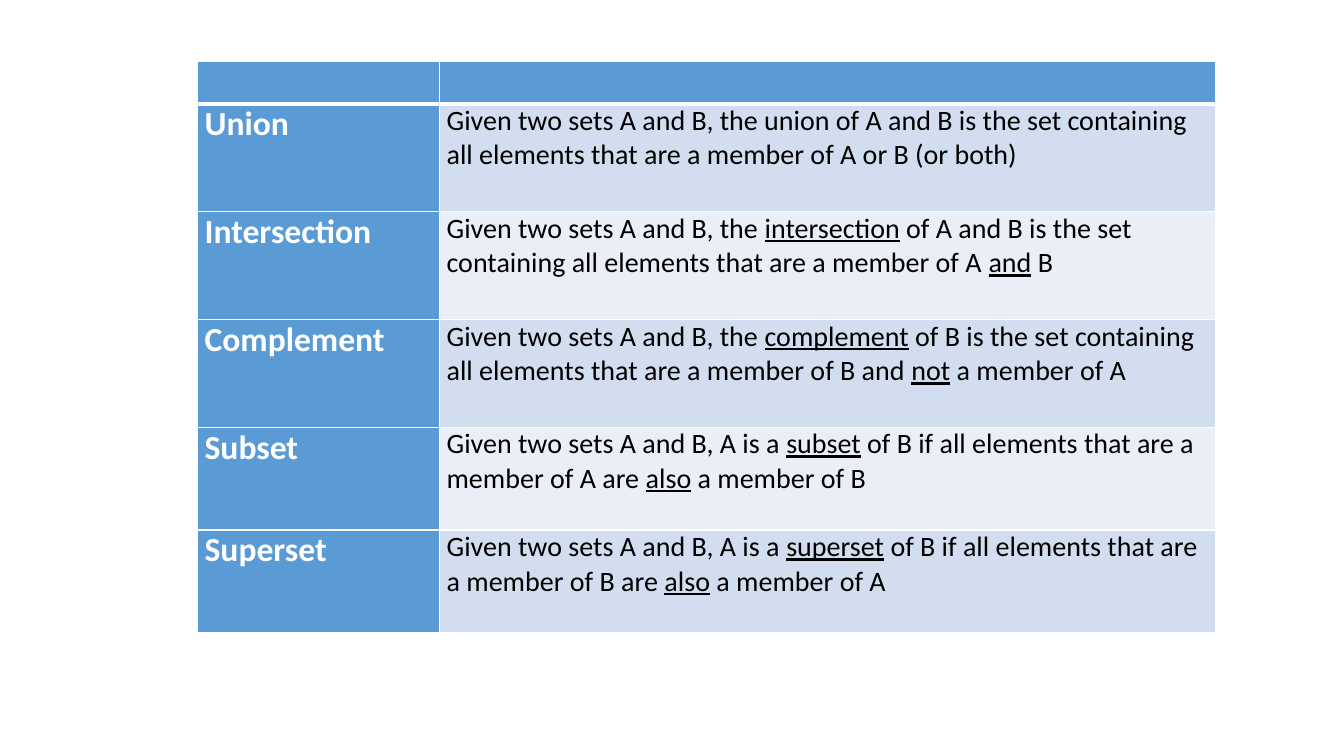
"""Builds a slide with a table that defines five set operations and relations."""
from typing import NamedTuple

from lxml.etree import SubElement
from pptx import Presentation
from pptx.dml.color import RGBColor
from pptx.oxml.ns import qn
from pptx.table import _Cell as Cell
from pptx.util import Inches, Pt

WHITE, BLACK, BLUE = "FFFFFF", "000000", "5B9BD5"
BANDS = ("D2DEEF", "EAEFF7")
COLUMN_WIDTHS = (2.4, 7.7)
HEADER_HEIGHT = 0.42


class Definition(NamedTuple):
    """A term, its meaning with underlined words between underscores, and its row height."""
    term: str
    meaning: str
    height: float


DEFINITIONS = (
    Definition("Union", "Given two sets A and B, the union of A and B is the set containing "
               "all elements that are a member of A or B (or both)", 1.07),
    Definition("Intersection", "Given two sets A and B, the _intersection_ of A and B is the set "
               "containing all elements that are a member of A _and_ B", 1.07),
    Definition("Complement", "Given two sets A and B, the _complement_ of B is the set containing "
               "all elements that are a member of B and _not_ a member of A", 1.07),
    Definition("Subset", "Given two sets A and B, A is a _subset_ of B if all elements that are a "
               "member of A are _also_ a member of B", 1.02),
    Definition("Superset", "Given two sets A and B, A is a _superset_ of B if all elements that "
               "are a member of B are _also_ a member of A", 1.02),
)


def rgb(color: str) -> RGBColor:
    """Turn a hex string into a colour."""
    return RGBColor.from_string(color)


def style_cell(cell: Cell, fill: str, top: float = 1, bottom: float = 1) -> None:
    """Give a cell white borders, a solid fill and narrow margins."""
    properties = cell._tc.get_or_add_tcPr()
    for side, width in (("L", 1), ("R", 1), ("T", top), ("B", bottom)):
        line = SubElement(properties, qn(f"a:ln{side}"), w=str(Pt(width)))
        SubElement(SubElement(line, qn("a:solidFill")), qn("a:srgbClr"), val=WHITE)
    cell.fill.solid()
    cell.fill.fore_color.rgb = rgb(fill)
    cell.margin_left = cell.margin_right = Inches(0.07)
    cell.margin_top = cell.margin_bottom = 0


def write_cell(cell: Cell, text: str, size: float, color: str, bold: bool) -> None:
    """Write text into a cell, underlining the words between underscores."""
    paragraph = cell.text_frame.paragraphs[0]
    font = paragraph.font
    font.name, font.size, font.bold = "Calibri", Pt(size), bold
    font.color.rgb = rgb(color)
    for index, part in enumerate(text.split("_")):
        run = paragraph.add_run()
        run.text = part
        if index % 2:
            run.font.underline = True


def main() -> None:
    """Build and save the slide."""
    deck = Presentation()
    deck.slide_width, deck.slide_height = Inches(13.33), Inches(7.5)
    slide = deck.slides.add_slide(deck.slide_layouts[6])
    heights = (HEADER_HEIGHT, *(definition.height for definition in DEFINITIONS))
    table = slide.shapes.add_table(
        len(heights), len(COLUMN_WIDTHS), Inches(1.96), Inches(0.61),
        Inches(sum(COLUMN_WIDTHS)), Inches(sum(heights))).table
    for column, width in zip(table.columns, COLUMN_WIDTHS):
        column.width = Inches(width)
    for row, height in zip(table.rows, heights):
        row.height = Inches(height)

    for header in table.rows[0].cells:
        style_cell(header, BLUE, bottom=3)
    for index, definition in enumerate(DEFINITIONS):
        term, meaning = table.rows[index + 1].cells
        top = 1 if index else 3
        style_cell(term, BLUE, top)
        write_cell(term, definition.term, 24, WHITE, True)
        style_cell(meaning, BANDS[index % 2], top)
        write_cell(meaning, definition.meaning, 20, BLACK, False)
    deck.save("out.pptx")


main()
